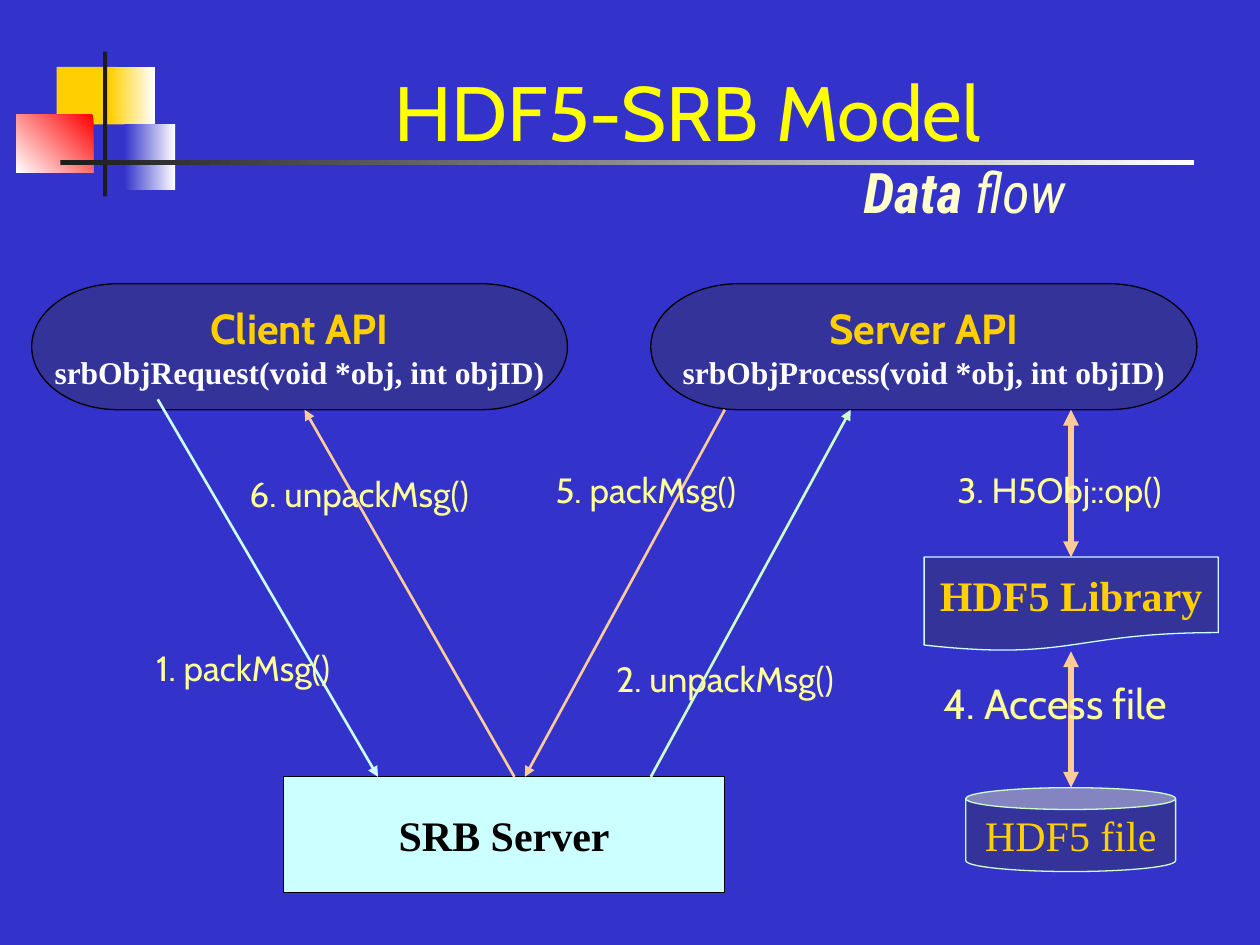
from dataclasses import dataclass

from lxml import etree
from pptx import Presentation
from pptx import util as u
from pptx.dml.color import RGBColor
from pptx.enum import shapes, text
from pptx.oxml import ns

Cm = u.Cm
SHAPE = shapes.MSO_SHAPE


@dataclass(frozen=True)
class Theme:
    sans: str = "Cabin"
    condensed: str = "Roboto Condensed"
    serif: str = "Times New Roman"
    title_size: int = 44
    subtitle_size: int = 32
    heading_size: int = 24
    label_size: int = 20
    code_size: int = 18
    background: str = "3333CC"
    node: str = "333399"
    gold: str = "FFCF01"
    red: str = "FF0000"
    dark: str = "1C1C1C"
    black: str = "000000"
    white: str = "FFFFFF"
    yellow: str = "FFFF00"
    cream: str = "FFFFCC"
    label: str = "FFFF99"
    ice: str = "CCFFFF"
    mint: str = "CCFFCC"
    peach: str = "FFCC99"


THEME = Theme()
API_TOP, API_BOTTOM = 5.72, 8.26
SERVER_TOP = 15.66
LIBRARY_TOP, LIBRARY_BOTTOM = 11.23, 13.13
FILE_TOP = 15.88
STORAGE_X = 21.59


def rgb(value):
    return RGBColor.from_string(value)


def set_font(font, name, size, color, bold=False, italic=False):
    font.name, font.size = name, u.Pt(size)
    font.bold, font.italic = bold, italic
    font.color.rgb = rgb(color)


def add_block(page, kind, place, colors, angle=0):
    block = page.shapes.add_shape(kind, *map(Cm, place))
    block.shadow.inherit = False
    block.line.fill.background()
    if len(colors) == 1:
        block.fill.solid()
        block.fill.fore_color.rgb = rgb(colors[0])
    else:
        block.fill.gradient()
        block.fill.gradient_angle = angle
        for stop, color in zip(block.fill.gradient_stops, colors):
            stop.color.rgb = rgb(color)
    return block


def add_node(page, kind, place, fill, outline, lines):
    node = add_block(page, kind, place, [fill])
    node.line.fill.solid()
    node.line.color.rgb = rgb(outline)
    node.line.width = u.Pt(0.75)
    frame = node.text_frame
    frame.word_wrap = False
    frame.vertical_anchor = text.MSO_ANCHOR.MIDDLE
    for index, (words, *style) in enumerate(lines):
        para = frame.add_paragraph() if index else frame.paragraphs[0]
        para.text = words
        para.alignment = text.PP_ALIGN.CENTER
        set_font(para.font, *style)
    return node


def add_arrow(page, start, end, color, width=1.5, double=False):
    arrow = page.shapes.add_connector(
        shapes.MSO_CONNECTOR.STRAIGHT, *map(Cm, start + end))
    arrow.line.color.rgb = rgb(color)
    arrow.line.width = u.Pt(width)
    outline = arrow.line._get_or_add_ln()
    for name in ("a:headEnd", "a:tailEnd") if double else ("a:tailEnd",):
        etree.SubElement(outline, ns.qn(name), type="triangle")
    etree.SubElement(arrow._element.spPr, ns.qn("a:effectLst"))


def add_label(page, words, place, size=THEME.label_size):
    box = page.shapes.add_textbox(*map(Cm, place))
    box.text_frame.word_wrap = False
    para = box.text_frame.paragraphs[0]
    para.text = words
    set_font(para.font, THEME.sans, size, THEME.label)


def add_title(page):
    title = page.shapes.title
    title.left, title.top, title.width, title.height = map(
        Cm, (2.97, 1.91, 21.79, 2.74))
    frame = title.text_frame
    frame.auto_size = text.MSO_AUTO_SIZE.NONE
    frame.vertical_anchor = text.MSO_ANCHOR.BOTTOM
    heading = frame.paragraphs[0]
    heading.text = "HDF5-SRB Model"
    set_font(heading.font, THEME.sans, THEME.title_size, THEME.yellow)
    subtitle = frame.add_paragraph()
    subtitle._p.get_or_add_pPr().set("marL", str(Cm(11.15)))
    for words, bold in (("Data", True), (" flow", False)):
        span = subtitle.add_run()
        span.text = words
        set_font(span.font, THEME.condensed, THEME.subtitle_size,
                 THEME.cream, bold, True)
    for para in frame.paragraphs:
        para.alignment = text.PP_ALIGN.CENTER


def add_decoration(page):
    t = THEME
    for place, colors, angle in (
        ((1.14, 1.35, 1.22, 1.32), [t.gold], 0),
        ((2.21, 1.35, 0.91, 1.32), [t.gold, t.white], 0),
        ((1.47, 2.51, 1.17, 1.32), [t.background], 0),
        ((2.51, 2.51, 1.02, 1.32), [t.background, t.white], 0),
        ((0.33, 2.31, 1.55, 1.17), [t.red, t.white], 225),
        ((2.08, 1.04, 0.08, 2.92), [t.dark], 0),
        ((1.22, 3.23, 22.86, 0.1), [t.dark, t.white], 0),
    ):
        add_block(page, SHAPE.RECTANGLE, place, colors, angle)


def add_nodes(page):
    t = THEME
    for name, call, left, width in (
        ("Client API", "srbObjRequest(void *obj, int objID)", 0.64, 10.8),
        ("Server API", "srbObjProcess(void *obj, int objID)", 13.12, 11.01),
    ):
        add_node(page, SHAPE.FLOWCHART_TERMINATOR,
                 (left, API_TOP, width, API_BOTTOM - API_TOP), t.node, t.black,
                 [(name, t.sans, t.heading_size, t.gold, True),
                  (call, t.serif, t.code_size, t.white, True)])
    add_node(page, SHAPE.RECTANGLE, (5.72, SERVER_TOP, 8.89, 2.33), t.ice, t.black,
             [("SRB Server", t.serif, t.heading_size, t.black, True)])
    add_node(page, SHAPE.FLOWCHART_DOCUMENT,
             (18.63, LIBRARY_TOP, 5.93, LIBRARY_BOTTOM - LIBRARY_TOP), t.node, t.ice,
             [("HDF5 Library", t.serif, t.heading_size, t.gold, True)])
    can = add_node(page, SHAPE.CAN, (19.47, FILE_TOP, 4.23, 1.69), t.node, t.mint,
                   [("HDF5 file", t.serif, t.heading_size, t.gold)])
    can.adjustments[0] = 0.26


def add_flow(page):
    t = THEME
    for start, end, color in (
        ((3.18, 8.05), (7.62, SERVER_TOP), t.ice),
        ((13.12, SERVER_TOP), (17.15, API_BOTTOM), t.mint),
        ((14.61, API_BOTTOM), (10.58, SERVER_TOP), t.peach),
        ((10.37, SERVER_TOP), (6.14, API_BOTTOM), t.peach),
    ):
        add_arrow(page, start, end, color)
    for top, bottom in ((API_BOTTOM, LIBRARY_TOP), (LIBRARY_BOTTOM, FILE_TOP)):
        add_arrow(page, (STORAGE_X, top), (STORAGE_X, bottom), t.peach, 3, True)
    for words, place in (
        ("1. packMsg()", (2.9, 12.9, 4.67, 1.12)),
        ("2. unpackMsg()", (12.17, 13.13, 5.54, 1.12)),
        ("3. H5Obj::op()", (19.05, 9.32, 5.72, 1.12)),
        ("5. packMsg()", (10.95, 9.32, 4.67, 1.12)),
        ("6. unpackMsg()", (4.78, 9.4, 5.54, 1.12)),
    ):
        add_label(page, words, place)
    add_label(page, "4. Access file", (18.77, 13.54, 5.51, 1.27), t.heading_size)


def main():
    deck = Presentation()
    deck.slide_width, deck.slide_height = Cm(25.4), Cm(19.05)
    page = deck.slides.add_slide(deck.slide_layouts[5])
    page.background.fill.solid()
    page.background.fill.fore_color.rgb = rgb(THEME.background)
    add_decoration(page)
    add_title(page)
    add_nodes(page)
    add_flow(page)
    deck.save("out.pptx")


if __name__ == "__main__":
    main()
